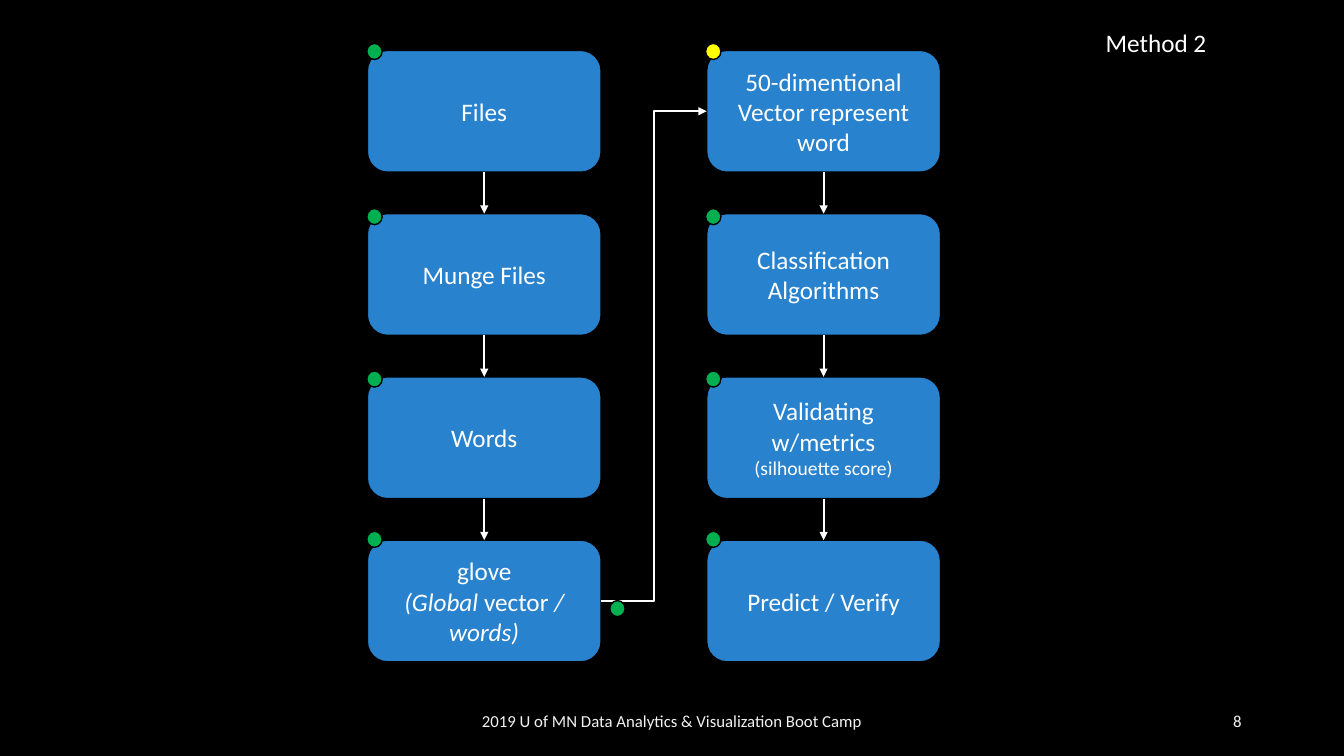
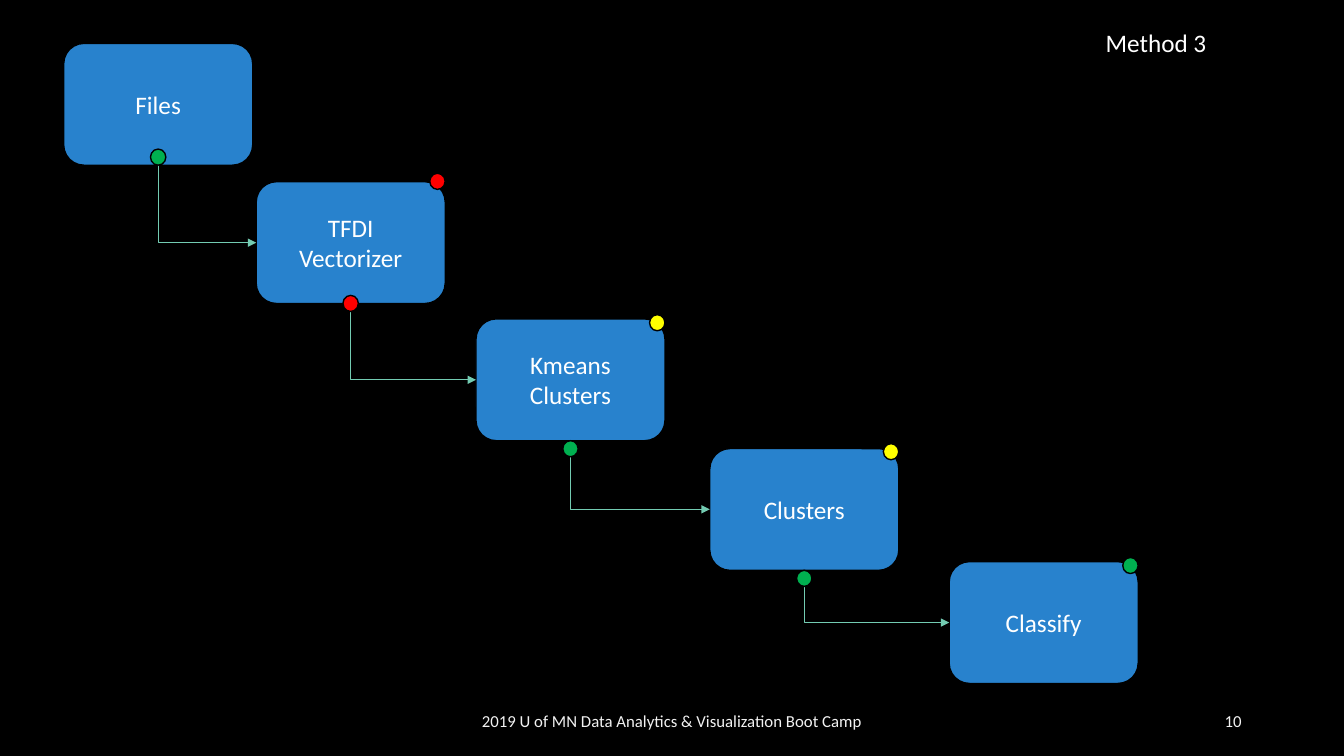
from dataclasses import dataclass

from lxml import etree
from pptx import Presentation
from pptx.dml.color import RGBColor
from pptx.enum.shapes import MSO_CONNECTOR, MSO_SHAPE
from pptx.enum.text import MSO_ANCHOR, MSO_AUTO_SIZE, PP_ALIGN
from pptx.oxml.ns import qn
from pptx.util import Pt

ROUND_RECT = MSO_SHAPE.ROUNDED_RECTANGLE
DOT = MSO_SHAPE.FLOWCHART_CONNECTOR
STRAIGHT, ELBOW = MSO_CONNECTOR.STRAIGHT, MSO_CONNECTOR.ELBOW
LEFT, CENTER, RIGHT = PP_ALIGN.LEFT, PP_ALIGN.CENTER, PP_ALIGN.RIGHT
TOP, MIDDLE = MSO_ANCHOR.TOP, MSO_ANCHOR.MIDDLE
SITE_TOP, SITE_LEFT, SITE_BOTTOM, SITE_RIGHT = range(4)


@dataclass(frozen=True)
class Theme:
    font: str = "Calibri"
    background: str = "000000"
    text: str = "FFFFFF"
    footer: str = "F2F2F2"
    box: str = "2882CD"
    outline: str = "000000"
    arrow: str = "FFFFFF"
    thin_arrow: str = "73CBB2"
    green: str = "00B050"
    yellow: str = "FFFF00"
    red: str = "FF0000"
    body_size: float = 18
    note_size: float = 14
    footer_size: float = 12


T = Theme()

FOOTER = "2019 U of MN Data Analytics & Visualization Boot Camp"
BOX_H = 87
DOT_W, DOT_H = 11, 11.5

# A paragraph is a string or a list of (text, run format) pairs.
PIPELINE = {
    "title": "Method 2",
    "number": "8",
    "columns": [
        (262.4, 262, [
            (["Files"], T.green),
            (["Munge Files"], T.green),
            (["Words"], T.green),
            (["glove", [("(Global ", {"italic": True}), ("vector", {}),
                        (" / words)", {"italic": True})]], T.green),
        ]),
        (504.8, 504, [
            (["50-dimentional", "Vector represent word"], T.yellow),
            (["Classification Algorithms"], T.green),
            (["Validating w/metrics",
              [("(silhouette score)", {"size": T.note_size})]], T.green),
            (["Predict / Verify"], T.green),
        ]),
    ],
    "dot_tops": [31, 149, 265, 379.5],
    "link_dot": (435.6, 429),
}

# Box: text, left, top, corner dot (colour, offset from the top edge),
# bottom dot (colour, offset from the bottom edge).
STAIRCASE = {
    "title": "Method 3",
    "number": "10",
    "steps": [
        (["Files"], 45.5, 31, None, (T.green, -11.5)),
        (["TFDI", "Vectorizer"], 183, 129.8, (T.red, -6), (T.red, -5.8)),
        (["Kmeans", "Clusters"], 340, 227.8, (T.yellow, -3), (T.green, 0)),
        (["Clusters"], 507, 320.4, (T.yellow, -3.5), (T.green, 0)),
        (["Classify"], 678, 401.2, (T.green, -3), None),
    ],
}


def rgb(value):
    return RGBColor.from_string(value)


def write(tf, paragraphs, size=T.body_size, color=T.text, align=LEFT, anchor=TOP):
    tf.word_wrap = True
    tf.auto_size = MSO_AUTO_SIZE.NONE
    tf.vertical_anchor = anchor
    for i, runs in enumerate(paragraphs):
        p = tf.add_paragraph() if i else tf.paragraphs[0]
        p.alignment = align
        for text, style in [(runs, {})] if isinstance(runs, str) else runs:
            r = p.add_run()
            r.text = text
            r.font.name = T.font
            r.font.size = Pt(style.get("size", size))
            r.font.italic = style.get("italic", False)
            r.font.color.rgb = rgb(color)


def add_filled(s, kind, x, y, w, h, fill):
    sp = s.shapes.add_shape(kind, Pt(x), Pt(y), Pt(w), Pt(h))
    sp.shadow.inherit = False
    sp.fill.solid()
    sp.fill.fore_color.rgb = rgb(fill)
    sp.line.color.rgb = rgb(T.outline)
    sp.line.width = Pt(1)
    return sp


def add_box(s, paragraphs, x, y, w):
    sp = add_filled(s, ROUND_RECT, x, y, w, BOX_H, T.box)
    write(sp.text_frame, paragraphs, align=CENTER, anchor=MIDDLE)
    return sp


def add_dot(s, x, y, color):
    add_filled(s, DOT, x, y, DOT_W, DOT_H, color)


def add_arrow(s, kind, start, start_site, end, end_site, color=T.arrow, width=1.5):
    cx = s.shapes.add_connector(kind, 0, 0, 0, 0)
    cx.begin_connect(start, start_site)
    cx.end_connect(end, end_site)
    cx.line.color.rgb = rgb(color)
    cx.line.width = Pt(width)
    etree.SubElement(cx.line._get_or_add_ln(), qn("a:tailEnd"), type="triangle")
    etree.SubElement(cx._element.spPr, qn("a:effectLst"))
    return cx


def bend_once(cx):
    """Turn an elbow into one that goes straight down, then right."""
    dx, dy = cx.width, cx.height
    cx.left += (dx - dy) // 2
    cx.top += (dy - dx) // 2
    cx.width, cx.height = dy, dx
    cx._element.spPr.find(qn("a:prstGeom")).set("prst", "bentConnector2")
    xfrm = cx._element.spPr.find(qn("a:xfrm"))
    xfrm.set("rot", "16200000")
    xfrm.set("flipH", "1")


def add_slide(prs, title, number):
    s = prs.slides.add_slide(prs.slide_layouts.get_by_name("Title Only"))
    sp = s.shapes.title
    sp.left, sp.top, sp.width, sp.height = Pt(782.6), Pt(16), Pt(169), Pt(29)
    write(sp.text_frame, [title])
    for text, x, w, align in [(FOOTER, 318, 324, CENTER), (number, 678, 216, RIGHT)]:
        tb = s.shapes.add_textbox(Pt(x), Pt(500.5), Pt(w), Pt(29))
        write(tb.text_frame, [text], T.footer_size, T.footer, align, MIDDLE)
    return s


def build_pipeline(prs, data):
    s = add_slide(prs, data["title"], data["number"])
    top, pitch, box_w = 36, 116.6, 167
    columns = [[add_box(s, text, x, top + i * pitch, box_w)
                for i, (text, _) in enumerate(boxes)]
               for x, _, boxes in data["columns"]]
    for _, dot_x, boxes in data["columns"]:
        for (_, color), y in zip(boxes, data["dot_tops"]):
            add_dot(s, dot_x, y, color)
    for column in columns:
        for upper, lower in zip(column, column[1:]):
            add_arrow(s, STRAIGHT, upper, SITE_BOTTOM, lower, SITE_TOP)
    first, second = columns
    add_arrow(s, ELBOW, first[-1], SITE_RIGHT, second[0], SITE_LEFT)
    add_dot(s, *data["link_dot"], T.green)


def build_staircase(prs, data):
    s = add_slide(prs, data["title"], data["number"])
    box_w = 135
    boxes = [add_box(s, text, x, y, box_w) for text, x, y, _, _ in data["steps"]]
    for upper, lower in zip(boxes, boxes[1:]):
        bend_once(add_arrow(s, ELBOW, upper, SITE_BOTTOM, lower, SITE_LEFT,
                            T.thin_arrow, 0.5))
    for _, x, y, corner, bottom in data["steps"]:
        if corner:
            color, offset = corner
            add_dot(s, x + box_w - DOT_W, y + offset, color)
        if bottom:
            color, offset = bottom
            add_dot(s, x + (box_w - DOT_W) / 2, y + BOX_H + offset, color)


def main():
    prs = Presentation()
    prs.slide_width, prs.slide_height = Pt(960), Pt(540)
    fill = prs.slide_master.background.fill
    fill.solid()
    fill.fore_color.rgb = rgb(T.background)
    build_pipeline(prs, PIPELINE)
    build_staircase(prs, STAIRCASE)
    prs.save("out.pptx")


if __name__ == "__main__":
    main()
